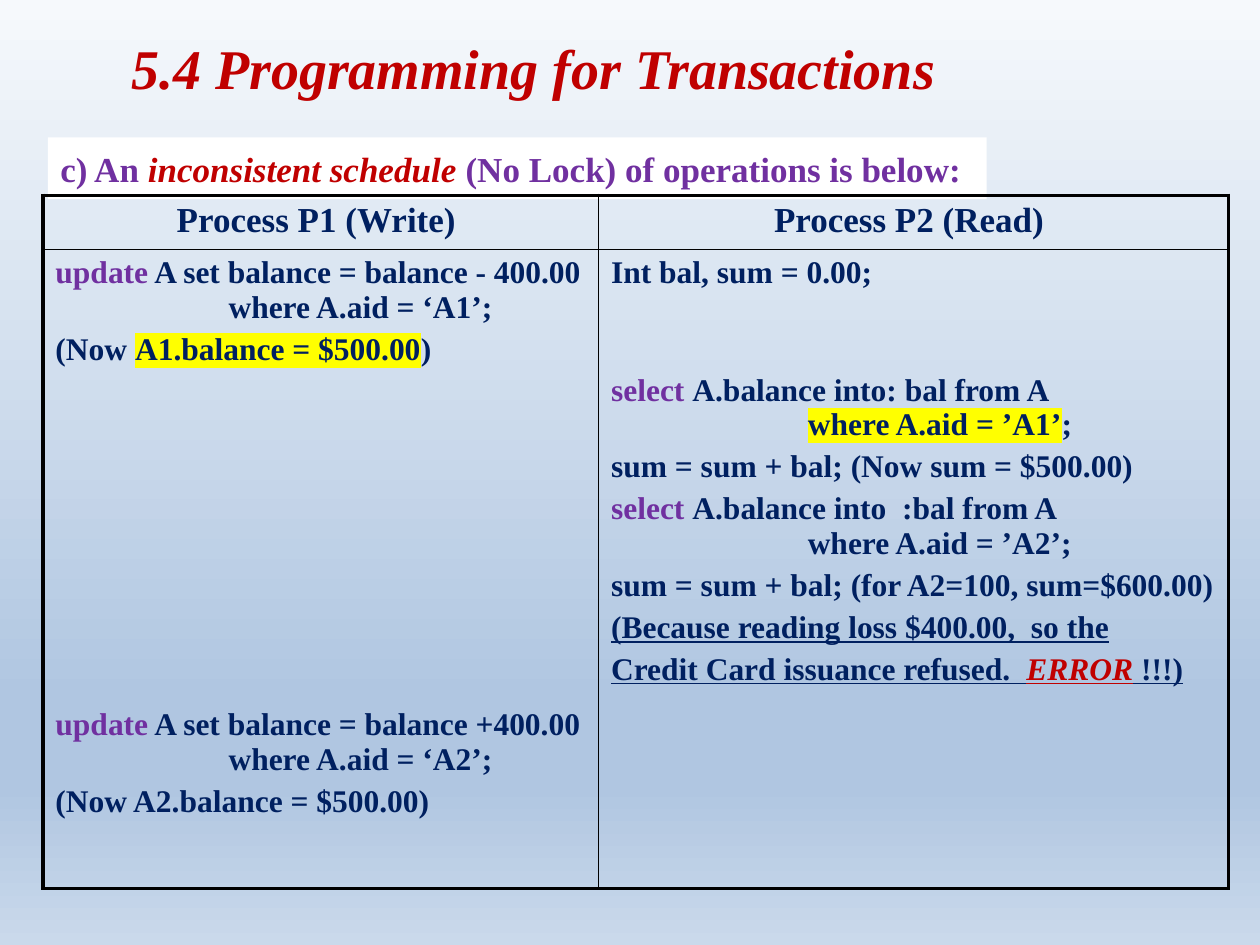
from lxml.etree import SubElement
from pptx import Presentation
from pptx.dml.color import RGBColor
from pptx.enum.shapes import MSO_SHAPE as Shape
from pptx.enum.text import MSO_ANCHOR as Anchor, MSO_AUTO_SIZE as AutoSize, PP_ALIGN as Align
from pptx.oxml.ns import qn
from pptx.util import Inches, Pt

RED = RGBColor(0xC0, 0x00, 0x00)
PURPLE = RGBColor(0x70, 0x30, 0xA0)
NAVY = RGBColor(0x00, 0x20, 0x60)
WHITE = RGBColor(0xFF, 0xFF, 0xFF)
BLACK = RGBColor(0x00, 0x00, 0x00)
YELLOW = RGBColor(0xFF, 0xFF, 0x00)
BACKGROUND_STOPS = [
    (0, RGBColor(0xF6, 0xF9, 0xFC)),
    (74, RGBColor(0xB0, 0xC6, 0xE1)),
    (83, RGBColor(0xB0, 0xC6, 0xE1)),
    (100, RGBColor(0xCA, 0xD9, 0xEB)),
]
FONT = "Times New Roman"
GRID = Inches(0.1)
COLUMNS, ROWS = 100, 75
TABLE_COLUMNS, TABLE_ROWS = (44.1, 50), (4.3, 50.7)
OUTER, INNER = Pt(2.25), Pt(1)

KEYWORD = {"color": PURPLE}
MARKED = {"highlight": YELLOW}
UNDERLINED = {"underline": True}
ERROR = {"color": RED, "italic": True, "underline": True}

HEADERS = ["Process P1 (Write) ", "Process P2 (Read) "]
# Each paragraph: space before in points, then its (text, style) runs.
WRITE_STEPS = [
    (0, [("update", KEYWORD), (" A set balance = balance - 400.00", {})]),
    (0, [("                      where A.aid = ‘A1’;", {})]),
    (4, [("(Now ", {}), ("A1.balance = $500.00", MARKED), (")", {})]),
    (194.5, [("update", KEYWORD), (" A set balance = balance +400.00", {})]),
    (0, [("                      where A.aid = ‘A2’;", {})]),
    (4, [("(Now A2.balance = $500.00)", {})]),
]
READ_STEPS = [
    (0, [("Int bal, sum = 0.00;", {})]),
    (47, [("select ", KEYWORD), ("A.balance into: bal from A", {})]),
    (0, [("                         ", {}), ("where A.aid = ’A1’", MARKED), (";", {})]),
    (4, [("sum = sum + bal; (Now sum = $500.00)", {})]),
    (4, [("select ", KEYWORD), ("A.balance into  :bal from A", {})]),
    (0, [("                         where A.aid = ’A2’;", {})]),
    (4, [("sum = sum + bal; (for A2=100, sum=$600.00)", {})]),
    (4, [("(Because reading loss $400.00,  so the", UNDERLINED)]),
    (4, [("Credit Card issuance refused.  ", UNDERLINED), ("ERROR", ERROR),
         (" !!!)", UNDERLINED)]),
]


def grid(*counts):
    return [int(count * GRID) for count in counts]


def add_color(parent, color):
    SubElement(parent, qn("a:srgbClr"), val=str(color))


def add_run(paragraph, text, size, color=NAVY, italic=None, underline=None, highlight=None):
    run = paragraph.add_run()
    run.text = text
    font = run.font
    font.size, font.bold, font.italic, font.underline = Pt(size), True, italic, underline
    font.color.rgb = color
    if highlight is not None:
        add_color(SubElement(run._r.get_or_add_rPr(), qn("a:highlight")), highlight)
    font.name = FONT


def fill_background(slide):
    fill = slide.background.fill
    fill.gradient()
    fill.gradient_angle = 270
    stops = slide.element.find(".//" + qn("a:gsLst"))
    for stop in list(stops):
        stops.remove(stop)
    for percent, color in BACKGROUND_STOPS:
        add_color(SubElement(stops, qn("a:gs"), pos=str(percent * 1000)), color)


def add_title(slide):
    title = slide.shapes.title
    title.left, title.top, title.width, title.height = grid(9.4, 2.1, 90.6, 6.4)
    frame = title.text_frame
    frame.auto_size = AutoSize.NONE
    frame.vertical_anchor = Anchor.MIDDLE
    paragraph = frame.paragraphs[0]
    paragraph.alignment = Align.LEFT
    add_run(paragraph, "5.4 Programming for Transactions", 32, RED, italic=True)


def add_caption(slide):
    caption = slide.shapes.add_shape(Shape.RECTANGLE, *grid(3.8, 10.9, 74.5, 4.9))
    caption.shadow.inherit = False
    caption.fill.solid()
    caption.fill.fore_color.rgb = WHITE
    caption.line.fill.background()
    frame = caption.text_frame
    frame.word_wrap = True
    frame.vertical_anchor = Anchor.MIDDLE
    paragraph = frame.paragraphs[0]
    paragraph.alignment = Align.LEFT
    add_run(paragraph, "c) An ", 20, PURPLE)
    add_run(paragraph, "inconsistent schedule ", 20, RED, italic=True)
    add_run(paragraph, "(No Lock) of operations is below:", 20, PURPLE)


def set_borders(cell, row, column):
    """Draw heavy lines on the table's outside and thin lines between cells."""
    widths = {
        "a:lnL": INNER if column else OUTER,
        "a:lnR": OUTER if column else INNER,
        "a:lnT": INNER if row else OUTER,
        "a:lnB": OUTER if row else INNER,
    }
    properties = cell._tc.get_or_add_tcPr()
    for position, (tag, width) in enumerate(widths.items()):
        line = SubElement(properties, qn(tag), w=str(width))
        add_color(SubElement(line, qn("a:solidFill")), BLACK)
        properties.insert(position, line)


def write_steps(cell, steps):
    frame = cell.text_frame
    for index, (space, runs) in enumerate(steps):
        paragraph = frame.add_paragraph() if index else frame.paragraphs[0]
        paragraph.space_before = Pt(space)
        for text, style in runs:
            add_run(paragraph, text, 18, **style)


def add_schedule(slide):
    frame = slide.shapes.add_table(
        2, 2, *grid(3.4, 15.5, sum(TABLE_COLUMNS), sum(TABLE_ROWS)))
    table = frame.table
    table.first_row = table.horz_banding = False
    for column, width in zip(table.columns, grid(*TABLE_COLUMNS)):
        column.width = width
    for row, height in zip(table.rows, grid(*TABLE_ROWS)):
        row.height = height
    for column, (header, steps) in enumerate(zip(HEADERS, [WRITE_STEPS, READ_STEPS])):
        paragraph = table.cell(0, column).text_frame.paragraphs[0]
        paragraph.alignment = Align.CENTER
        add_run(paragraph, header, 20)
        write_steps(table.cell(1, column), steps)
        for row in range(2):
            cell = table.cell(row, column)
            cell.fill.background()
            set_borders(cell, row, column)


def main():
    presentation = Presentation()
    presentation.slide_width, presentation.slide_height = grid(COLUMNS, ROWS)
    slide = presentation.slides.add_slide(presentation.slide_layouts[5])
    fill_background(slide)
    add_title(slide)
    add_caption(slide)
    add_schedule(slide)
    presentation.save("out.pptx")


if __name__ == "__main__":
    main()
